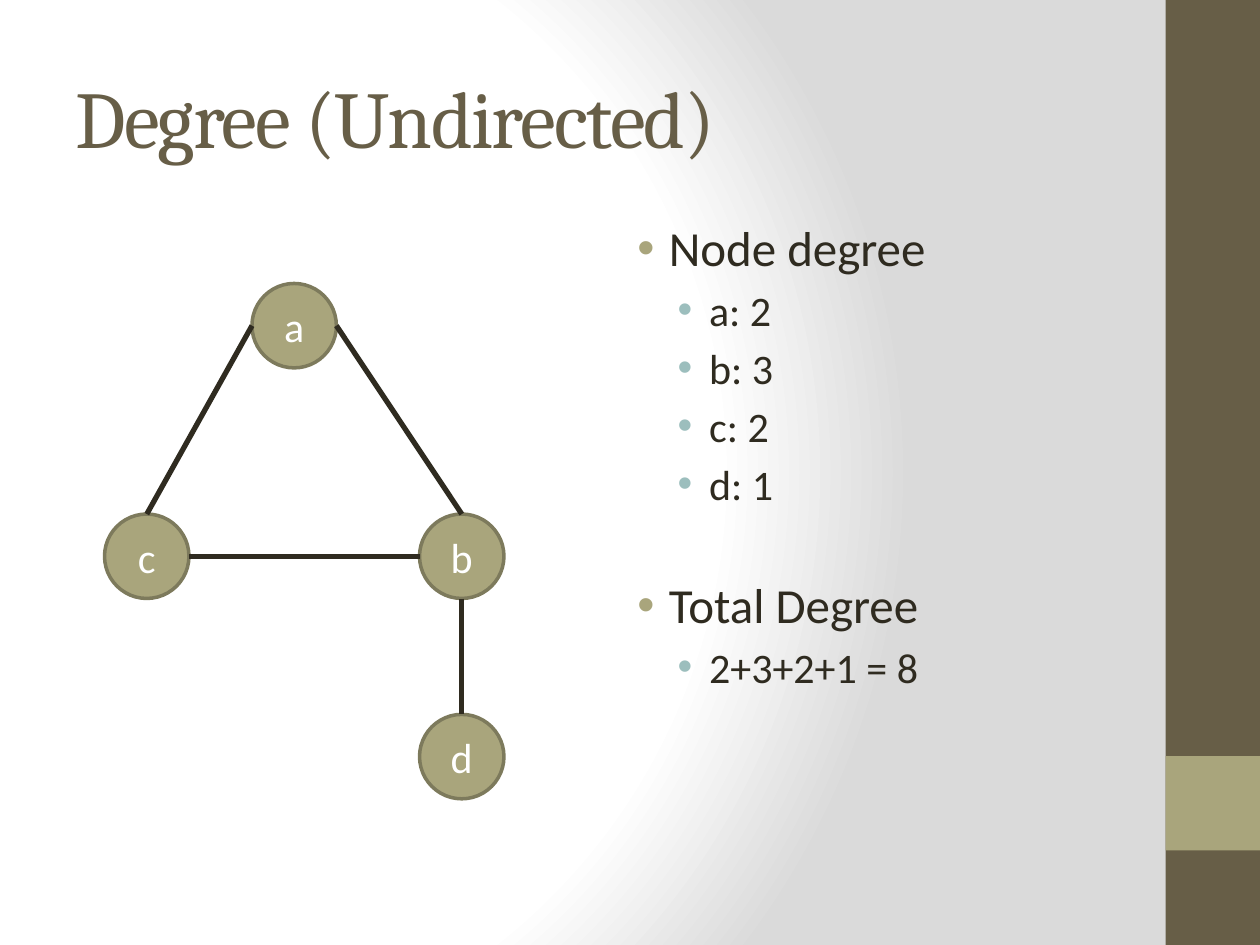
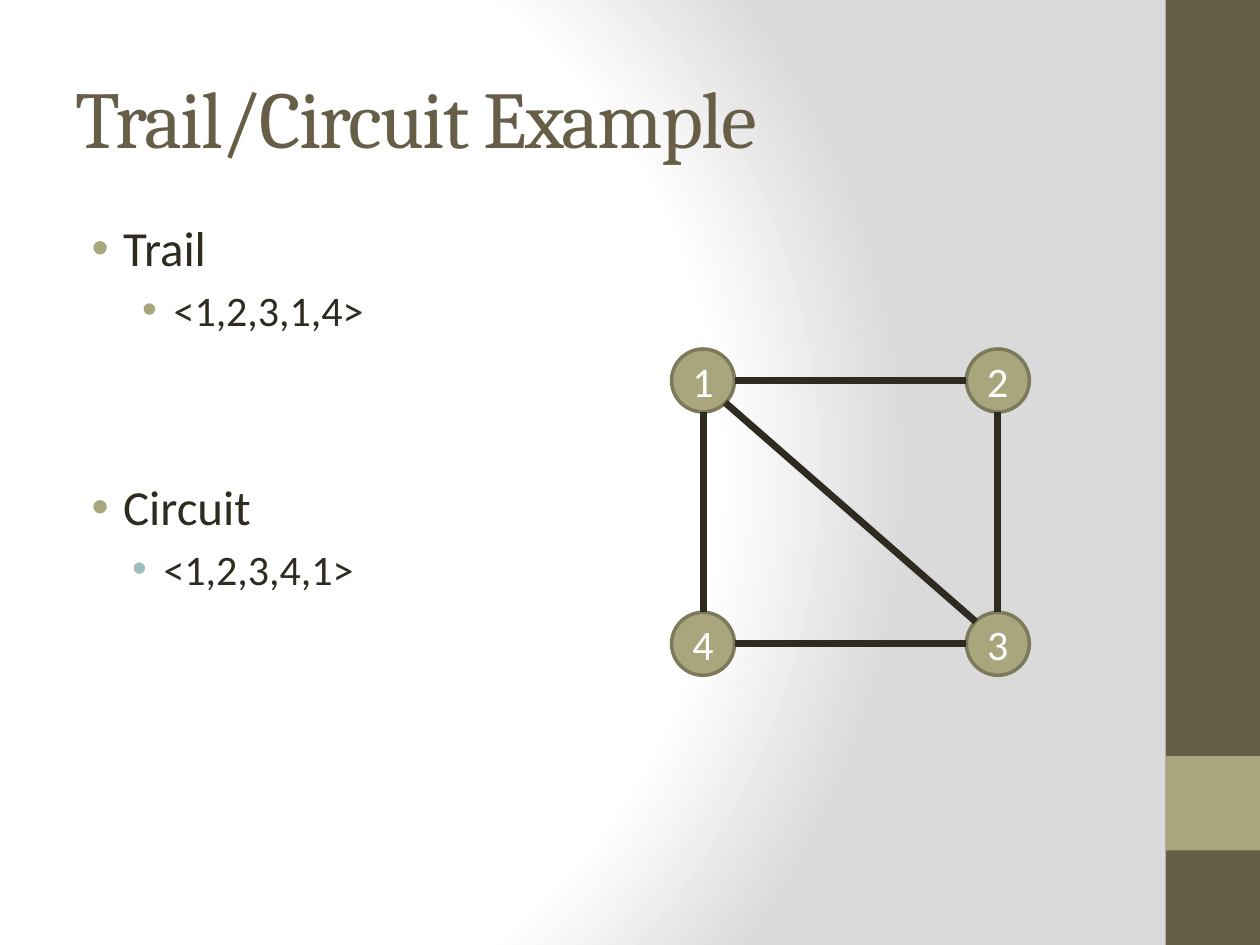
import pptx
import pptx.util
import pptx.dml.color
import pptx.enum.shapes
import pptx.enum.text
import pptx.oxml
import pptx.oxml.ns
import lxml.etree

Inches, Pt = pptx.util.Inches, pptx.util.Pt
ALIGN, ANCHOR = pptx.enum.text.PP_ALIGN, pptx.enum.text.MSO_ANCHOR
SHAPE = pptx.enum.shapes.MSO_SHAPE

BROWN, OLIVE, OUTLINE = "675E47", "A9A57C", "7D7A5C"
INK, TEAL, WHITE, GREY = "2F2B20", "9CBEBD", "FFFFFF", "DADADA"
HEADING_FONT, BODY_FONT = "Cambria", "Calibri"

BANDS = [(0, 7.5, BROWN), (6, 0.75, OLIVE)]
GRADIENT_STOPS = [(0, WHITE), (75, WHITE), (100, GREY)]
LEVELS = [(28, 0.38, OLIVE), (24, 0.7, TEAL), (24, 0.78, OLIVE)]
PARAGRAPH_GAP = 4.3

DIAGONAL = 0.5 ** 0.5
SIDES = {
    "top": (0, -1), "bottom": (0, 1), "left": (-1, 0), "right": (1, 0),
    "lower right": (DIAGONAL, DIAGONAL), "upper left": (-DIAGONAL, -DIAGONAL),
}

SLIDES = [
    {
        "title": "Degree (Undirected)",
        "body_left": 4.83,
        "body": [
            (0, "Node degree", 0), (1, "a: 2", 0), (1, "b: 3", 0),
            (1, "c: 2", 0), (1, "d: 1", 0),
            (0, "Total Degree", 33.6), (1, "2+3+2+1 = 8", 0),
        ],
        "node_size": 0.67,
        "nodes": {"a": (2, 2.25), "b": (3.33, 4.08), "c": (0.83, 4.08), "d": (3.33, 5.67)},
        "edge_width": 3,
        "edges": [
            ("a", "right", "b", "top"), ("b", "left", "c", "right"),
            ("a", "left", "c", "top"), ("b", "bottom", "d", "top"),
        ],
    },
    {
        "title": "Trail/Circuit Example",
        "body_left": 0.5,
        "body": [
            (0, "Trail", 0), (2, "<1,2,3,1,4>", 0),
            (0, "Circuit", 77), (1, "<1,2,3,4,1>", 0),
        ],
        "node_size": 0.5,
        "nodes": {"1": (5.33, 2.77), "2": (7.67, 2.77), "4": (5.33, 4.86), "3": (7.67, 4.86)},
        "edge_width": 4,
        "edges": [
            ("1", "right", "2", "left"), ("1", "bottom", "4", "top"),
            ("1", "lower right", "3", "upper left"), ("2", "bottom", "3", "top"),
            ("3", "left", "4", "right"),
        ],
    },
]


def rgb(value):
    return pptx.dml.color.RGBColor.from_string(value)


def add_child(parent, tag, **attributes):
    child = lxml.etree.SubElement(parent, pptx.oxml.ns.qn(tag))
    for name, value in attributes.items():
        child.set(name, str(value))
    return child


def style_text(para, font, size, colour):
    for span in para.runs:
        span.font.name = font
        span.font.size = Pt(size)
        span.font.color.rgb = rgb(colour)


def add_solid(page, kind, box, colour):
    shape = page.shapes.add_shape(kind, *map(Inches, box))
    shape.shadow.inherit = False
    shape.fill.solid()
    shape.fill.fore_color.rgb = rgb(colour)
    shape.line.fill.background()
    return shape


def set_background(layout):
    layout.background.fill.solid()
    properties = layout.element.cSld.find(".//" + pptx.oxml.ns.qn("p:bgPr"))
    properties.remove(properties[0])
    gradient = add_child(properties, "a:gradFill", rotWithShape=1)
    properties.insert(0, gradient)
    stops = add_child(gradient, "a:gsLst")
    for percent, colour in GRADIENT_STOPS:
        stop = add_child(stops, "a:gs", pos=percent * 1000)
        add_child(stop, "a:srgbClr", val=colour)
    circle = add_child(gradient, "a:path", path="circle")
    add_child(circle, "a:fillToRect", l=20000, t=50000, r=100000, b=50000)


def add_bands(page, layout):
    for top, height, colour in BANDS:
        band = add_solid(page, SHAPE.RECTANGLE, (9.25, top, 0.75, height), colour)
        layout.shapes.element.append(band.element)


def set_title(page, text):
    title = page.shapes.title
    title.left, title.top, title.width, title.height = map(Inches, (0.5, 0.3, 8.33, 1.25))
    title.text_frame.text = text
    title.text_frame.vertical_anchor = ANCHOR.MIDDLE
    para = title.text_frame.paragraphs[0]
    para.alignment = ALIGN.LEFT
    style_text(para, HEADING_FONT, 46, BROWN)
    para.runs[0].font._element.set("spc", "-100")


def add_body(page, left, lines):
    box = page.shapes.add_textbox(*map(Inches, (left, 1.68, 4, 5.02)))
    frame = box.text_frame
    frame.word_wrap = True
    frame.text = "\n".join(text for _, text, _ in lines)
    for para, (level, _, extra_gap) in zip(frame.paragraphs, lines):
        size, indent, bullet_colour = LEVELS[level]
        para.level = level
        para.space_before = Pt(PARAGRAPH_GAP + extra_gap)
        style_text(para, BODY_FONT, size, INK)
        properties = para._p.get_or_add_pPr()
        properties.set("marL", str(Inches(indent)))
        properties.set("indent", str(Inches(-0.25)))
        add_child(add_child(properties, "a:buClr"), "a:srgbClr", val=bullet_colour)
        add_child(properties, "a:buFont", typeface="Arial")
        add_child(properties, "a:buChar", char="•")


def add_node(page, label, corner, size):
    node = add_solid(page, SHAPE.OVAL, (*corner, size, size), OLIVE)
    node.line.color.rgb = rgb(OUTLINE)
    node.line.width = Pt(2)
    frame = node.text_frame
    frame.margin_left = frame.margin_right = 0
    frame.vertical_anchor = ANCHOR.MIDDLE
    frame.text = label
    frame.paragraphs[0].alignment = ALIGN.CENTER
    style_text(frame.paragraphs[0], BODY_FONT, 24, WHITE)


def edge_point(corner, size, side):
    return [Inches(place + size / 2 * (1 + step)) for place, step in zip(corner, SIDES[side])]


def add_edge(page, start, end, width):
    edge = page.shapes.add_connector(pptx.enum.shapes.MSO_CONNECTOR.STRAIGHT, *start, *end)
    edge.line.color.rgb = rgb(INK)
    edge.line.width = Pt(width)
    add_child(edge._element.spPr, "a:effectLst")


def add_graph(page, content):
    nodes, size = content["nodes"], content["node_size"]
    for label, corner in nodes.items():
        add_node(page, label, corner, size)
    for first, first_side, second, second_side in content["edges"]:
        start = edge_point(nodes[first], size, first_side)
        end = edge_point(nodes[second], size, second_side)
        add_edge(page, start, end, content["edge_width"])


def main():
    deck = pptx.Presentation()
    deck.slide_width, deck.slide_height = Inches(10), Inches(7.5)
    layout = deck.slide_layouts.get_by_name("Title Only")
    set_background(layout)
    for content in SLIDES:
        page = deck.slides.add_slide(layout)
        if len(deck.slides) == 1:
            add_bands(page, layout)
        set_title(page, content["title"])
        add_body(page, content["body_left"], content["body"])
        add_graph(page, content)
    deck.save("out.pptx")


if __name__ == "__main__":
    main()
